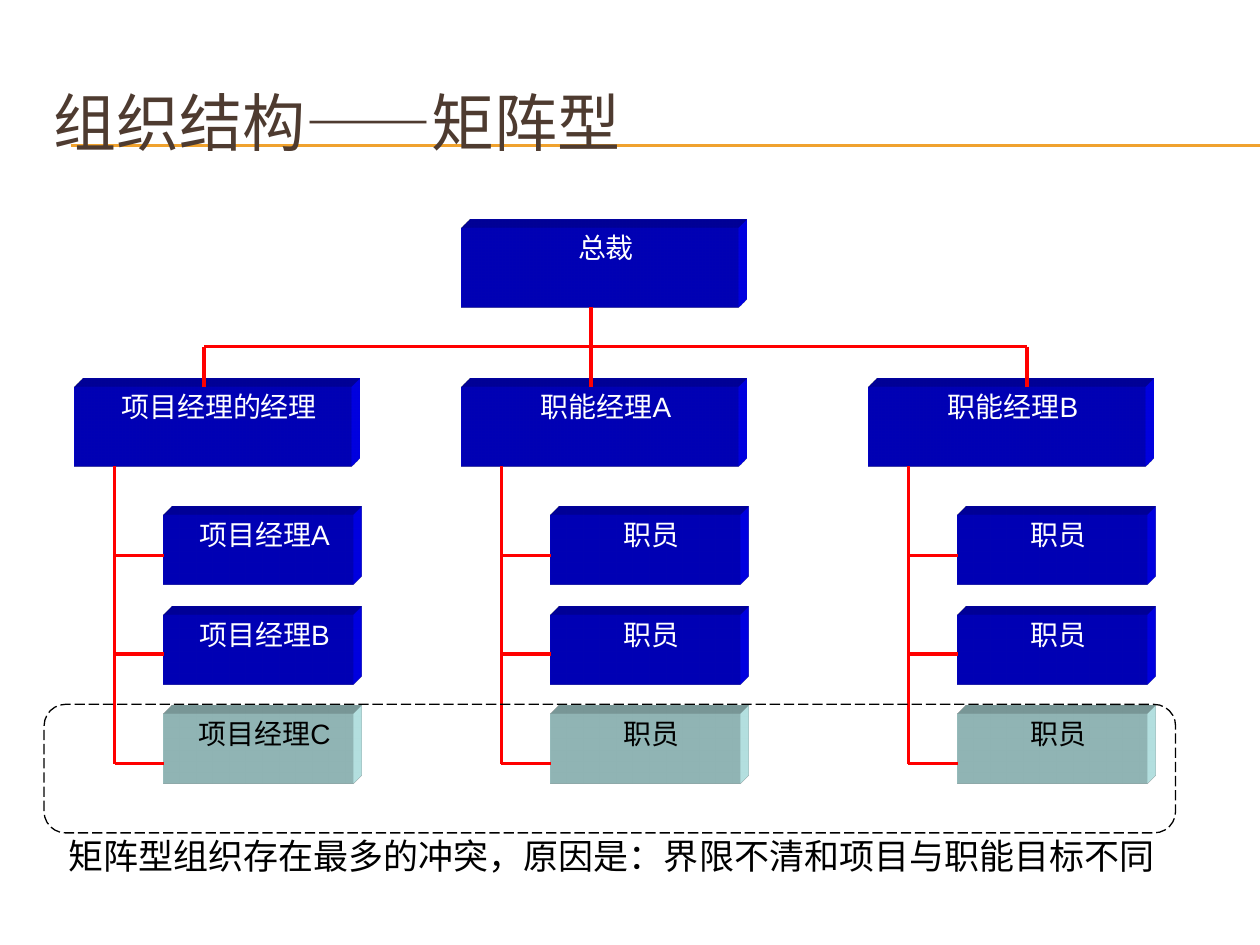
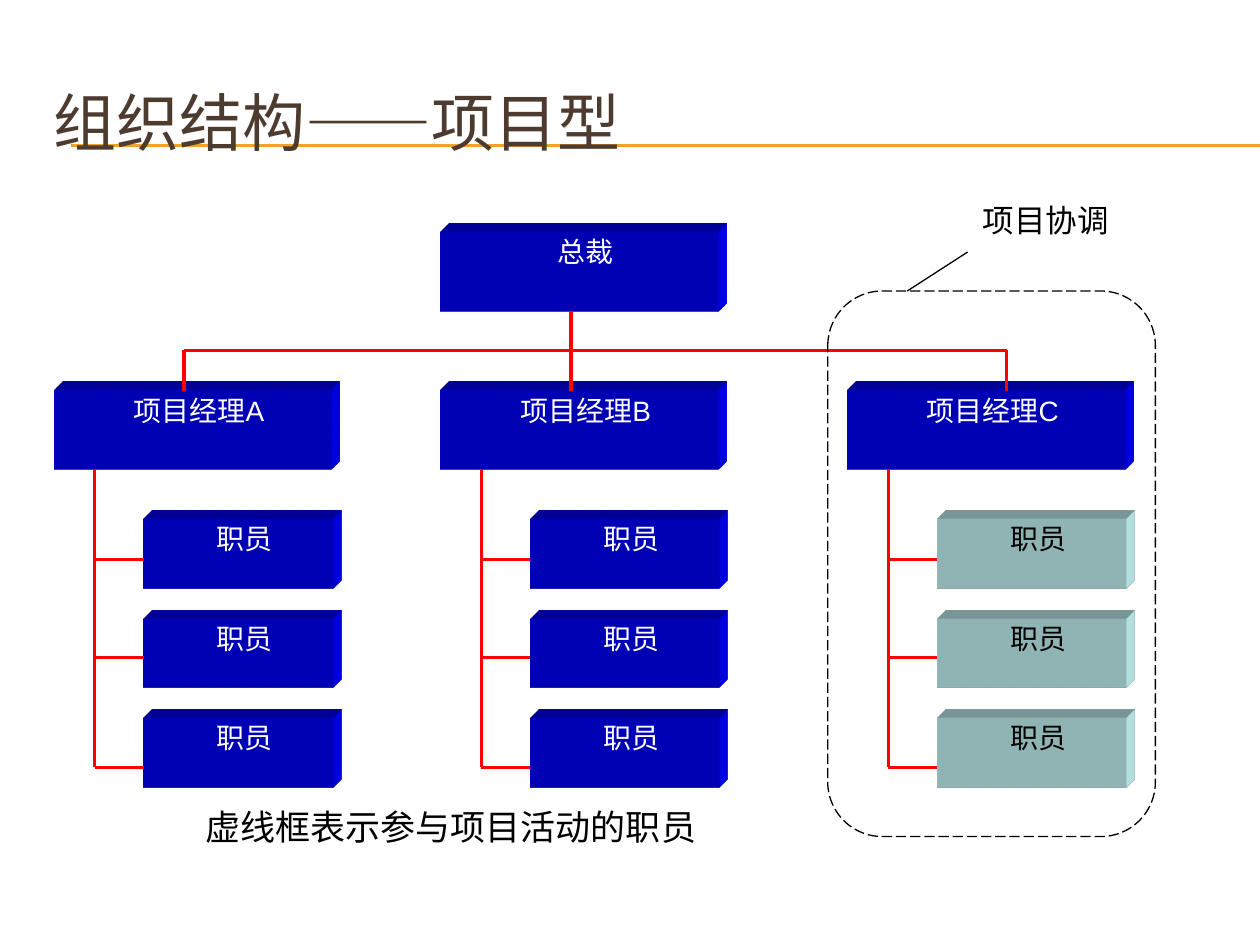
"""Builds two slides with matrix and project organisation charts."""
from lxml import etree
from pptx import Presentation
from pptx.dml.color import RGBColor
from pptx.enum.dml import MSO_LINE
from pptx.enum.shapes import MSO_CONNECTOR, MSO_SHAPE
from pptx.enum.text import MSO_ANCHOR, PP_ALIGN
from pptx.oxml import parse_xml
from pptx.oxml.ns import qn
from pptx.util import Inches, Pt

STRAIGHT = MSO_CONNECTOR.STRAIGHT
RECTANGLE, ROUNDED = MSO_SHAPE.RECTANGLE, MSO_SHAPE.ROUNDED_RECTANGLE
LONG_DASH = MSO_LINE.LONG_DASH
TOP, MIDDLE = MSO_ANCHOR.TOP, MSO_ANCHOR.MIDDLE
LEFT, CENTER = PP_ALIGN.LEFT, PP_ALIGN.CENTER

BLUE = RGBColor(0x00, 0x00, 0xFF)
PALE = RGBColor(0xCC, 0xFF, 0xFF)
RED = RGBColor(0xFF, 0x00, 0x00)
GOLD = RGBColor(0xF0, 0xA2, 0x2E)
BROWN = RGBColor(0x4E, 0x3B, 0x30)
BLACK = RGBColor(0x00, 0x00, 0x00)
WHITE = RGBColor(0xFF, 0xFF, 0xFF)

CHARTS = [
    {
        "title": "组织结构——矩阵型",
        "origin": (0.59, 1.81),
        "president": "总裁",
        "teams": [
            ("项目经理的经理", ["项目经理A", "项目经理B", "项目经理C"]),
            ("职能经理A", ["职员"] * 3),
            ("职能经理B", ["职员"] * 3),
        ],
        "involved": {(0, 2), (1, 2), (2, 2)},
        "frame": (0.35, 5.59, 8.98, 1.02),
        "caption": ("矩阵型组织存在最多的冲突，原因是：界限不清和项目与职能目标不同",
                    (0.49, 6.62, 9, 0.43)),
    },
    {
        "title": "组织结构——项目型",
        "origin": (0.43, 1.84),
        "president": "总裁",
        "teams": [
            ("项目经理A", ["职员"] * 3),
            ("项目经理B", ["职员"] * 3),
            ("项目经理C", ["职员"] * 3),
        ],
        "involved": {(2, 0), (2, 1), (2, 2)},
        "frame": (6.57, 2.31, 2.6, 4.33),
        "caption": ("虚线框表示参与项目活动的职员", (1.58, 6.39, 6.83, 0.43)),
        "callout": ("项目协调", (7.67, 1.55, 1.26, 0.4), (7.2, 2.31, 7.68, 2)),
    },
]

TITLE_AREA = (0.33, 0.5, 9.5, 0.92)
TITLE_RULES = (1.15, 1.16)
COLUMNS = (0, 3.07, 6.3)
DROPS = (1.03, 1.03, 1.26)
MANAGER_SIZE = (2.2, 0.63)
STAFF_SIZE = (1.5, 0.55)
BUS_Y, MANAGER_Y, STAFF_Y = 0.94, 1.26, 2.28
STAFF_PITCH = 0.79
TRUNK_X, STAFF_X = 0.32, 0.71
BRANCHES = (2.6, 3.38, 4.25)
BOX_INSETS = (0.12, 0.02, 0.02, 0.02)
CAPTION_INSETS = (0.05, 0, 0.05, 0)

DRAWING = 'xmlns:a="http://schemas.openxmlformats.org/drawingml/2006/main"'
SCENE = (f'<a:scene3d {DRAWING}><a:camera prst="legacyObliqueTopRight"/>'
         '<a:lightRig rig="legacyFlat3" dir="b"/></a:scene3d>')
DEPTH = (f'<a:sp3d {DRAWING} extrusionH="176200" prstMaterial="legacyMatte">'
         '<a:bevelT w="13500" h="13500" prst="angle"/>'
         '<a:bevelB w="13500" h="13500" prst="angle"/>'
         '<a:extrusionClr><a:srgbClr val="{color}"/></a:extrusionClr></a:sp3d>')


def write(shape, text, *, size, color, font="Arial", align=LEFT, anchor=TOP,
          insets=(0.1, 0.05, 0.1, 0.05)):
    frame = shape.text_frame
    frame.word_wrap = True
    frame.vertical_anchor = anchor
    (frame.margin_left, frame.margin_top,
     frame.margin_right, frame.margin_bottom) = map(Inches, insets)
    paragraph = frame.paragraphs[0]
    paragraph.alignment = align
    run = paragraph.add_run()
    run.text = text
    run.font.name = font
    run.font.size = Pt(size)
    run.font.color.rgb = color


def add_label(slide, text, area, **style):
    write(slide.shapes.add_textbox(*map(Inches, area)), text, **style)


def add_line(slide, x1, y1, x2, y2, color=RED, width=2):
    line = slide.shapes.add_connector(STRAIGHT, *map(Inches, (x1, y1, x2, y2)))
    line.line.color.rgb = color
    line.line.width = Pt(width)
    etree.SubElement(line._element.spPr, qn("a:effectLst"))


def add_box(slide, text, x, y, size, involved=False):
    fill, ink = (PALE, BLACK) if involved else (BLUE, WHITE)
    box = slide.shapes.add_shape(RECTANGLE, *map(Inches, (x, y, *size)))
    box.shadow.inherit = False
    box.fill.solid()
    box.fill.fore_color.rgb = fill
    box.line.fill.background()
    for part in (SCENE, DEPTH.format(color=fill)):
        box._element.spPr.append(parse_xml(part))
    write(box, text, size=16, color=ink, align=CENTER, insets=BOX_INSETS)


def add_frame(slide, area):
    frame = slide.shapes.add_shape(ROUNDED, *map(Inches, area))
    frame.shadow.inherit = False
    frame.fill.background()
    frame.line.color.rgb = BLACK
    frame.line.width = Pt(0.75)
    frame.line.dash_style = LONG_DASH


def add_boxes(slide, chart):
    left, top = chart["origin"]
    add_box(slide, chart["president"], left + COLUMNS[1], top, MANAGER_SIZE)
    for column, (manager, staff) in enumerate(chart["teams"]):
        x = left + COLUMNS[column]
        add_box(slide, manager, x, top + MANAGER_Y, MANAGER_SIZE)
        for row, member in enumerate(staff):
            add_box(slide, member, x + STAFF_X, top + STAFF_Y + row * STAFF_PITCH,
                    STAFF_SIZE, (column, row) in chart["involved"])


def add_links(slide, chart):
    left, top = chart["origin"]
    drops = [left + column + drop for column, drop in zip(COLUMNS, DROPS)]
    bus = top + BUS_Y
    add_line(slide, drops[0], bus, drops[-1], bus)
    add_line(slide, drops[1], top + MANAGER_SIZE[1], drops[1], bus)
    for column, drop in zip(COLUMNS, drops):
        add_line(slide, drop, bus, drop, top + MANAGER_Y)
        trunk = left + column + TRUNK_X
        add_line(slide, trunk, top + MANAGER_Y + MANAGER_SIZE[1],
                 trunk, top + BRANCHES[-1])
        for branch in BRANCHES:
            add_line(slide, trunk, top + branch, left + column + STAFF_X, top + branch)


def add_chart_slide(deck, chart):
    slide = deck.slides.add_slide(deck.slide_layouts[6])
    for y in TITLE_RULES:
        add_line(slide, 0.56, y, 10, y, GOLD, 0.75)
    add_label(slide, chart["title"], TITLE_AREA, size=36, color=BROWN,
              font="Roboto", anchor=MIDDLE)
    add_boxes(slide, chart)
    add_links(slide, chart)
    add_frame(slide, chart["frame"])
    if "callout" in chart:
        text, area, leader = chart["callout"]
        add_line(slide, *leader, BLACK, 0.75)
        add_label(slide, text, area, size=18, color=BLACK, font="Lato", align=CENTER)
    text, area = chart["caption"]
    add_label(slide, text, area, size=20, color=BLACK, insets=CAPTION_INSETS)


def main():
    deck = Presentation()
    deck.slide_width, deck.slide_height = Inches(10), Inches(7.5)
    for chart in CHARTS:
        add_chart_slide(deck, chart)
    deck.save("out.pptx")


if __name__ == "__main__":
    main()
